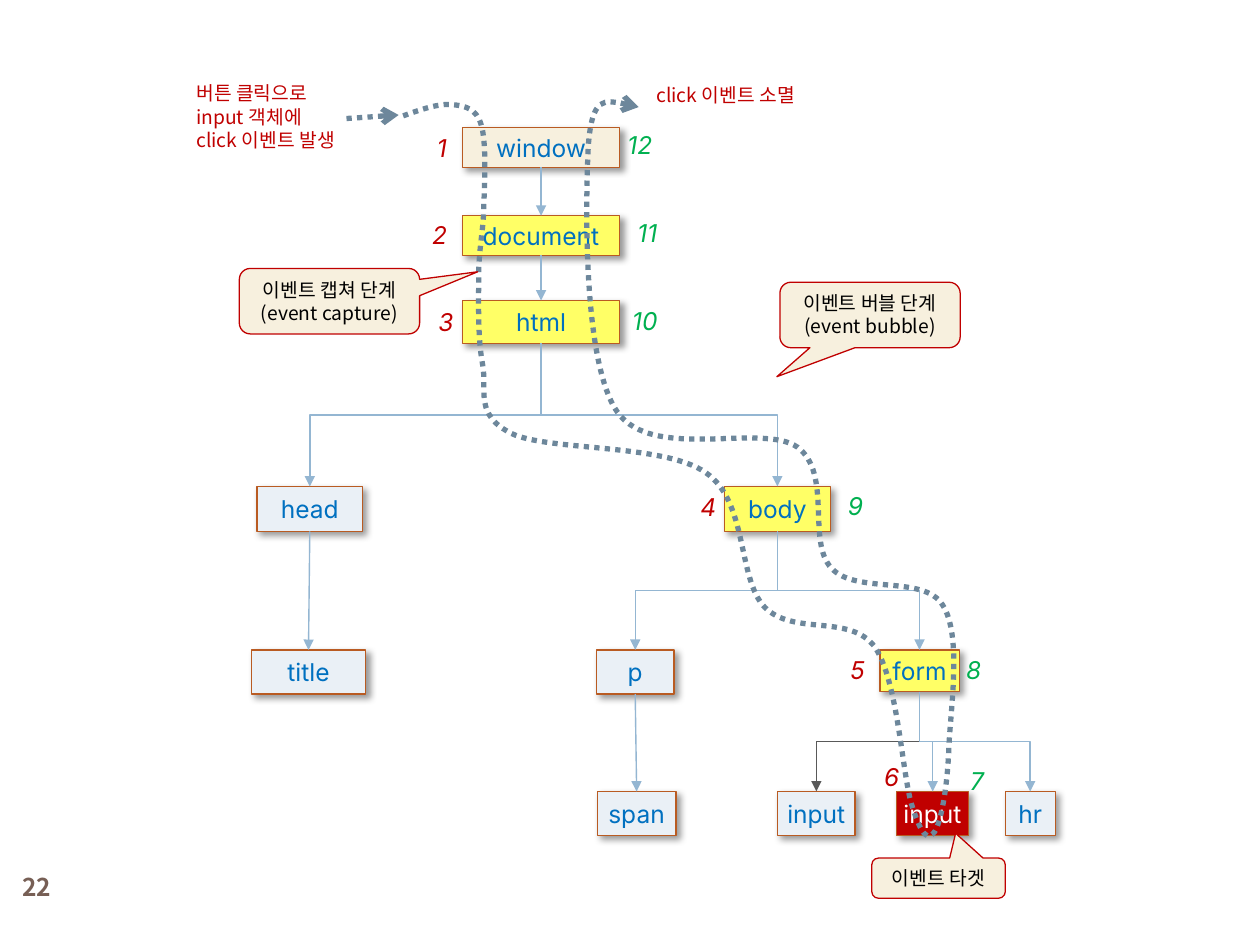
import pptx
import pptx.util
import pptx.dml.color
import pptx.enum.dml
import pptx.enum.shapes
import pptx.enum.text
import pptx.oxml.ns
import lxml.etree
import dataclasses


@dataclasses.dataclass(frozen=True)
class Theme:
    node_text: str = "0070C0"
    white: str = "FFFFFF"
    black: str = "000000"
    plain: str = "EAF0F6"
    active: str = "FFFF66"
    cream: str = "F7F0DE"
    red: str = "C00000"
    green: str = "00B050"
    border: str = "B95B22"
    edge: str = "94B6D2"
    dark_edge: str = "595959"
    flow: str = "6D879B"
    page: str = "775F55"
    latin: str = "Inter"
    korean: str = "Noto Sans CJK KR"
    big: int = 14
    small: int = 11


theme = Theme()
Pt = pptx.util.Pt
RGB = pptx.dml.color.RGBColor.from_string
qn = pptx.oxml.ns.qn
SHAPE = pptx.enum.shapes.MSO_SHAPE
LINK = pptx.enum.shapes.MSO_CONNECTOR
ALIGN = pptx.enum.text.PP_ALIGN
ANCHOR = pptx.enum.text.MSO_ANCHOR
AUTO = pptx.enum.text.MSO_AUTO_SIZE


def write(sp, text, *, size=theme.big, color=theme.black, font=theme.latin,
          align=ALIGN.LEFT, anchor=ANCHOR.TOP, bold=False, italic=False,
          grow=False, wrap=False, side=7.2):
    tf = sp.text_frame
    tf.word_wrap = wrap
    tf.auto_size = AUTO.SHAPE_TO_FIT_TEXT if grow else AUTO.NONE
    tf.vertical_anchor = anchor
    tf.margin_left = tf.margin_right = Pt(side)
    for i, line in enumerate(text.split("\n")):
        p = tf.paragraphs[0] if i == 0 else tf.add_paragraph()
        p.alignment = align
        r = p.add_run()
        r.text = line
        r.font.size = Pt(size)
        r.font.bold = bold
        r.font.italic = italic
        r.font.name = font
        r.font.color.rgb = RGB(color)
        lxml.etree.SubElement(r.font._element, qn("a:ea"), typeface=font)


def stroke(sp, color, width, head):
    sp.line.color.rgb = RGB(color)
    sp.line.width = Pt(width)
    ln = sp.line._get_or_add_ln()
    lxml.etree.SubElement(ln, qn("a:tailEnd"), type=head)


prs = pptx.Presentation()
prs.slide_width, prs.slide_height = Pt(720), Pt(540)
s = prs.slides.add_slide(prs.slide_layouts[6])

sp = s.shapes.add_textbox(Pt(0), Pt(491.8), Pt(41.8), Pt(30.2))
write(sp, "22", color=theme.page, font=theme.korean, bold=True,
      align=ALIGN.CENTER, anchor=ANCHOR.MIDDLE, wrap=True)

nodes = {
    "window": ("window", 264.2, 73, 90, 22.6, theme.cream),
    "document": ("document", 264.2, 123.3, 90, 22.6, theme.active),
    "html": ("html", 264.2, 171.7, 90, 24.6, theme.active),
    "head": ("head", 146.8, 278, 60.5, 25.6, theme.plain),
    "body": ("body", 414, 278, 60.5, 25.6, theme.active),
    "title": ("title", 143.6, 371.4, 65.4, 25.2, theme.plain),
    "p": ("p", 340.8, 371.4, 44.4, 25.2, theme.plain),
    "form": ("form", 502.8, 371.4, 45.4, 23.8, theme.active),
    "span": ("span", 341.3, 452.3, 45, 25.2, theme.plain),
    "button": ("input", 444.3, 452.3, 44.4, 25.2, theme.plain),
    "target": ("input", 512.4, 452.3, 41, 25.2, theme.red),
    "hr": ("hr", 574.4, 452.3, 28.6, 25.2, theme.plain),
}
boxes = {}
for name, (label, x, y, w, h, fill) in nodes.items():
    sp = s.shapes.add_shape(SHAPE.RECTANGLE, Pt(x), Pt(y), Pt(w), Pt(h))
    sp.fill.solid()
    sp.fill.fore_color.rgb = RGB(fill)
    sp.line.color.rgb = RGB(theme.border)
    sp.line.width = Pt(0.75)
    sp.shadow.inherit = False
    effects = sp._element.spPr.find(qn("a:effectLst"))
    shadow = lxml.etree.SubElement(effects, qn("a:outerShdw"), blurRad=str(Pt(4)),
                                   dist=str(Pt(3)), dir="2700000", algn="tl", rotWithShape="0")
    tint = lxml.etree.SubElement(shadow, qn("a:srgbClr"), val=theme.black)
    lxml.etree.SubElement(tint, qn("a:alpha"), val="40000")
    write(sp, label, color=theme.white if fill == theme.red else theme.node_text,
          align=ALIGN.CENTER, anchor=ANCHOR.MIDDLE, side=3)
    boxes[name] = sp

edges = [
    ("window", "document", False), ("document", "html", False),
    ("head", "title", False), ("p", "span", False),
    ("html", "head", True), ("html", "body", True),
    ("body", "p", True), ("body", "form", True),
    ("form", "button", True), ("form", "target", True), ("form", "hr", True),
]
for parent, child, bent in edges:
    a, b = boxes[parent], boxes[child]
    x1, y1 = a.left + a.width // 2, a.top + a.height
    x2, y2 = b.left + b.width // 2, b.top
    if bent:
        cx, cy = (x1 + x2) // 2, (y1 + y2) // 2
        half_w, half_h = (y2 - y1) // 2, abs(x2 - x1) // 2
        side = 1 if x2 > x1 else -1
        c = s.shapes.add_connector(LINK.ELBOW, cx + side * half_w, cy - half_h,
                                   cx - side * half_w, cy + half_h)
        c._element.spPr.find(qn("a:xfrm")).set("rot", "16200000" if side > 0 else "5400000")
    else:
        c = s.shapes.add_connector(LINK.STRAIGHT, x1, y1, x2, y2)
        c.begin_connect(a, 2)
        c.end_connect(b, 0)
    stroke(c, theme.dark_edge if child == "button" else theme.edge, 0.79, "triangle")
    lxml.etree.SubElement(c._element.spPr, qn("a:effectLst"))

event_flow = [
    (230.4, 66.2), (240.5, 62.6), (250.6, 59), (258.5, 59.8),
    (265.7, 60.5), (272.2, 61.9), (275, 71.3), (277.9, 80.6), (277.2, 102.2), (276.5, 116.6),
    (276.5, 131), (273.6, 141.8), (273.6, 157), (273.6, 172.1), (272.9, 193), (275.8, 208.1),
    (278.6, 223.2), (270.7, 236.9), (292.3, 247.7), (313.2, 257.8), (379.4, 253.4), (403.2, 270),
    (427.7, 286.6), (421.2, 330.5), (437, 347), (453.6, 363.6), (485.3, 350.6), (499.7, 369.4),
    (513.4, 388.8), (515.5, 443.5), (521.3, 460.8), (527, 478.8), (530.6, 480.2), (534.2, 475.2),
    (537.8, 469.4), (541.4, 450), (542.2, 428.4), (542.9, 406.8), (550.1, 362.9), (538.6, 345.6),
    (527.8, 328.3), (488.9, 339.8), (475.2, 324.7), (460.8, 309.6), (475.9, 270.7), (455.8, 255.6),
    (435.6, 241.2), (373, 264.2), (352.8, 235.4), (332.6, 206.6), (334.8, 112.3), (336.2, 83.5),
    (338.4, 54), (352.1, 57.6), (365, 61.2),
]
event_start = [(198, 67.7), (206, 67.2), (217, 66.4), (227.8, 65.7)]
for points in (event_flow, event_start):
    fb = s.shapes.build_freeform(Pt(points[0][0]), Pt(points[0][1]))
    fb.add_line_segments([(Pt(x), Pt(y)) for x, y in points[1:]], close=False)
    sp = fb.convert_to_shape()
    sp.fill.background()
    sp.shadow.inherit = False
    sp.line.dash_style = pptx.enum.dml.MSO_LINE.ROUND_DOT
    stroke(sp, theme.flow, 3, "arrow")
    segments = list(sp._element.iter(qn("a:lnTo")))
    for i in range(0, len(segments), 3):
        curve = lxml.etree.Element(qn("a:cubicBezTo"))
        segments[i].addprevious(curve)
        for segment in segments[i:i + 3]:
            curve.append(segment[0])
            segment.getparent().remove(segment)

captions = [
    ("버튼 클릭으로\ninput 객체에\nclick 이벤트 발생", 105.1, 43.2, 100, 47.5),
    ("click 이벤트 소멸", 367.9, 43.9, 100, 20.9),
]
for text, x, y, w, h in captions:
    sp = s.shapes.add_textbox(Pt(x), Pt(y), Pt(w), Pt(h))
    write(sp, text, size=theme.small, color=theme.red, font=theme.korean, grow=True)

callouts = [
    ("이벤트 캡쳐 단계\n(event capture)", 136.8, 153.4, 103, 37.4, 0.822, -0.449),
    ("이벤트 버블 단계\n(event bubble)", 445.7, 161.3, 103, 37.4, -0.517, 0.943),
    ("이벤트 타겟", 498.2, 490.3, 76.3, 23, 0.128, -1.116),
]
for text, x, y, w, h, tip_x, tip_y in callouts:
    sp = s.shapes.add_shape(SHAPE.ROUNDED_RECTANGULAR_CALLOUT, Pt(x), Pt(y), Pt(w), Pt(h))
    sp.adjustments[0], sp.adjustments[1] = tip_x, tip_y
    sp.fill.solid()
    sp.fill.fore_color.rgb = RGB(theme.cream)
    sp.line.color.rgb = RGB(theme.red)
    sp.line.width = Pt(0.75)
    sp.shadow.inherit = False
    write(sp, text, size=theme.small, font=theme.korean, align=ALIGN.CENTER, grow=True)

steps = [
    (242.6, 72.7), (239.8, 122.4), (243.4, 172.1), (393.1, 277.9), (478.8, 370.8), (498.2, 432),
    (547.2, 434.2), (545, 370.8), (477.4, 277.2), (354.2, 171.4), (357.1, 121), (351.4, 70.6),
]
for number, (x, y) in enumerate(steps, 1):
    sp = s.shapes.add_textbox(Pt(x), Pt(y), Pt(22.3 if number < 10 else 30), Pt(24.5))
    write(sp, str(number), color=theme.red if number <= 6 else theme.green, italic=True, grow=True)

prs.save("out.pptx")
